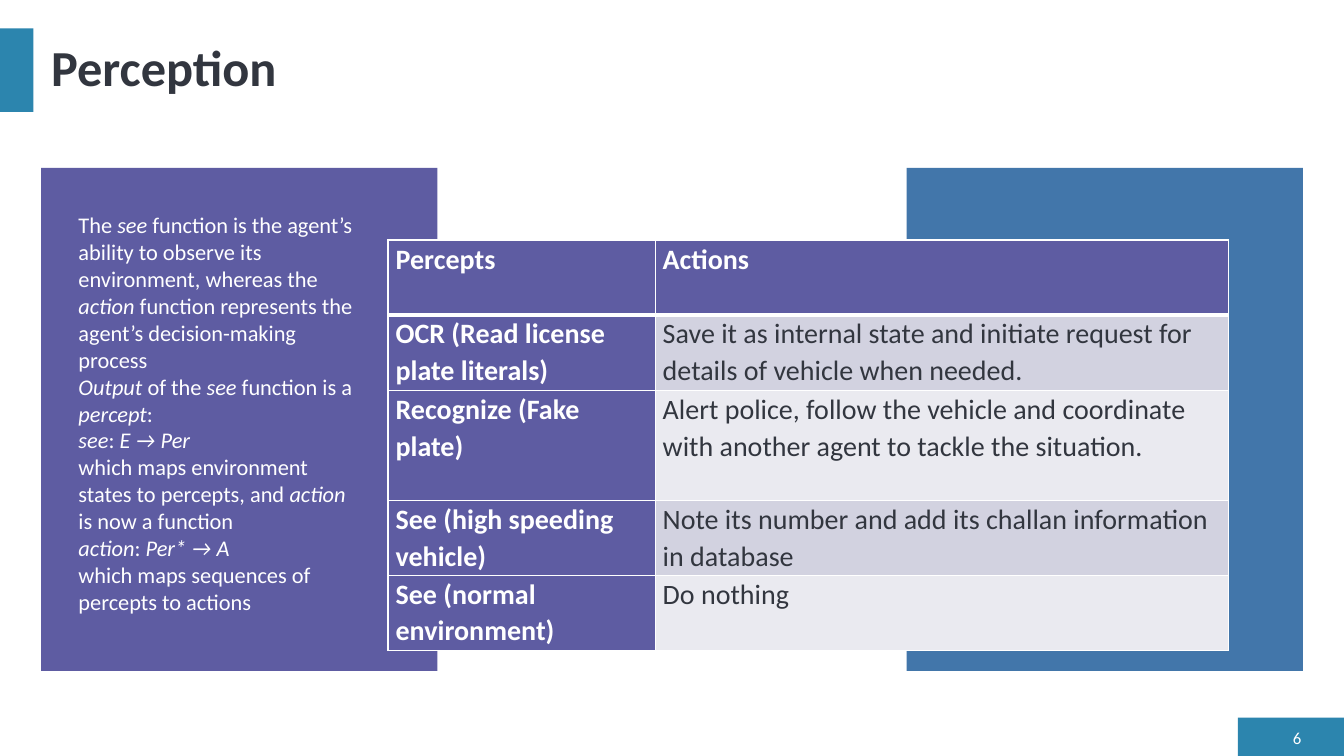
from typing import NamedTuple

from lxml import etree
from pptx import Presentation
from pptx.dml.color import RGBColor
from pptx.enum import shapes, text
from pptx.oxml import ns
from pptx.util import Pt

FONT = "Calibri"
WHITE = RGBColor(0xFF, 0xFF, 0xFF)
INK = RGBColor(0x32, 0x36, 0x3F)
TEAL = RGBColor(0x2C, 0x85, 0xAE)
PURPLE = RGBColor(0x5E, 0x5C, 0xA2)
BLUE = RGBColor(0x42, 0x76, 0xAA)
BAND_FILLS = (RGBColor(0xD2, 0xD2, 0xE0), RGBColor(0xEA, 0xEA, 0xF0))

SLIDE_WIDTH, SLIDE_HEIGHT = 960, 540
PANEL_MARGIN, PANEL_TOP, PANEL_WIDTH, PANEL_HEIGHT = 29.3, 120, 283.1, 359.3


class Box(NamedTuple):
    left: float
    top: float
    width: float
    height: float

    def lengths(self) -> list:
        return [Pt(value) for value in self]


class Block(NamedTuple):
    box: Box
    fill: RGBColor


class Style(NamedTuple):
    size: float
    color: RGBColor
    bold: bool = False


class Row(NamedTuple):
    percept: str
    action: str
    height: float


TITLE_BOX = Box(29.3, 20.2, 907.2, 59.8)
NUMBER_BOX = Box(907.2, 518.4, 29.5, 16.6)
NOTE_BOX = Box(49, 147.6, 218.2, 317.5)
BLOCKS = [
    Block(Box(884.2, 512.6, 75.8, 27.4), TEAL),
    Block(Box(0, 20.2, 23.8, 59.8), TEAL),
    Block(Box(PANEL_MARGIN, PANEL_TOP, PANEL_WIDTH, PANEL_HEIGHT), PURPLE),
    Block(Box(SLIDE_WIDTH - PANEL_MARGIN - PANEL_WIDTH, PANEL_TOP,
              PANEL_WIDTH, PANEL_HEIGHT), BLUE),
]

COLUMN_WIDTHS = (190.8, 409.7)
ROWS = [
    Row("Percepts", "Actions", 53.5),
    Row("OCR (Read license plate literals)",
        "Save it as internal state and initiate request for details of vehicle when needed.", 54),
    Row("Recognize (Fake plate)",
        "Alert police, follow the vehicle and coordinate with another agent to tackle the situation.",
        78.5),
    Row("See (high speeding vehicle)",
        "Note its number and add its challan information in database", 53.5),
    Row("See (normal environment)", "Do nothing", 53.5),
]

# Each paragraph alternates upright and italic runs, starting upright
NOTE = [
    ("The ", "see ", "function is the agent’s ability to observe its environment, whereas the ",
     "action ", "function represents the agent’s decision-making process"),
    ("", "Output ", "of the ", "see ", "function is a ", "percept", ":"),
    ("", "see", ": ", "E → Per"),
    ("which maps environment states to percepts, and ", "action ", "is now a function"),
    ("", "action", ": ", "Per* → A"),
    ("which maps sequences of percepts to actions",),
]


def add_run(paragraph, words: str, style: Style, italic: bool = False) -> None:
    run = paragraph.add_run()
    run.text = words
    run.font.name = FONT
    run.font.size = Pt(style.size)
    run.font.color.rgb = style.color
    run.font.bold = style.bold
    run.font.italic = italic


def add_block(slide, block: Block) -> None:
    shape = slide.shapes.add_shape(shapes.MSO_SHAPE.RECTANGLE, *block.box.lengths())
    shape.shadow.inherit = False
    shape.fill.solid()
    shape.fill.fore_color.rgb = block.fill
    shape.line.fill.background()


def set_borders(cell, widths: dict[str, float]) -> None:
    properties = cell._tc.get_or_add_tcPr()
    for index, (side, width) in enumerate(widths.items()):
        line = etree.Element(ns.qn(f"a:ln{side}"), w=str(int(Pt(width))))
        fill = etree.SubElement(line, ns.qn("a:solidFill"))
        etree.SubElement(fill, ns.qn("a:srgbClr"), val=str(WHITE))
        properties.insert(index, line)


def fill_cell(cell, words: str, fill: RGBColor, style: Style) -> None:
    cell.margin_left = cell.margin_right = Pt(5.4)
    cell.margin_top = cell.margin_bottom = 0
    cell.fill.solid()
    cell.fill.fore_color.rgb = fill
    paragraph = cell.text_frame.paragraphs[0]
    paragraph.line_spacing = 1.07
    add_run(paragraph, words, style)


def add_percept_table(slide) -> None:
    box = Box(277.2, 171.4, sum(COLUMN_WIDTHS), sum(row.height for row in ROWS))
    table = slide.shapes.add_table(len(ROWS), len(COLUMN_WIDTHS), *box.lengths()).table
    for column, width in zip(table.columns, COLUMN_WIDTHS):
        column.width = Pt(width)
    heading = Style(20, WHITE, True)
    for index, row in enumerate(ROWS):
        table.rows[index].height = Pt(row.height)
        percept, action = table.cell(index, 0), table.cell(index, 1)
        fill_cell(percept, row.percept, PURPLE, heading)
        if index == 0:
            fill_cell(action, row.action, PURPLE, heading)
        else:
            fill_cell(action, row.action, BAND_FILLS[(index - 1) % 2], Style(20, INK))
        widths = {"L": 1, "R": 1, "T": 3 if index == 1 else 1, "B": 3 if index == 0 else 1}
        for cell in (percept, action):
            set_borders(cell, widths)


def add_title(slide) -> None:
    title = slide.shapes.title
    title.left, title.top, title.width, title.height = TITLE_BOX.lengths()
    frame = title.text_frame
    frame.vertical_anchor = text.MSO_ANCHOR.MIDDLE
    frame.word_wrap = True
    paragraph = frame.paragraphs[0]
    paragraph.alignment = text.PP_ALIGN.LEFT
    paragraph.line_spacing = 0.9
    add_run(paragraph, "Perception", Style(36, INK, True))


def add_slide_number(slide) -> None:
    frame = slide.shapes.add_textbox(*NUMBER_BOX.lengths()).text_frame
    frame.word_wrap = True
    frame.vertical_anchor = text.MSO_ANCHOR.MIDDLE
    paragraph = frame.paragraphs[0]
    paragraph.alignment = text.PP_ALIGN.RIGHT
    add_run(paragraph, "6", Style(12, WHITE))


def add_note(slide) -> None:
    frame = slide.shapes.add_textbox(*NOTE_BOX.lengths()).text_frame
    frame.word_wrap = True
    for index, parts in enumerate(NOTE):
        paragraph = frame.add_paragraph() if index else frame.paragraphs[0]
        for position, words in enumerate(parts):
            if words:
                add_run(paragraph, words, Style(16, WHITE), italic=position % 2 == 1)


def main() -> None:
    presentation = Presentation()
    presentation.slide_width, presentation.slide_height = Pt(SLIDE_WIDTH), Pt(SLIDE_HEIGHT)
    slide = presentation.slides.add_slide(presentation.slide_layouts[5])

    # Background panels and accents
    for block in BLOCKS:
        add_block(slide, block)

    # Title and slide number
    add_title(slide)
    add_slide_number(slide)

    # Table and explanatory note
    add_percept_table(slide)
    add_note(slide)
    presentation.save("out.pptx")


if __name__ == "__main__":
    main()
